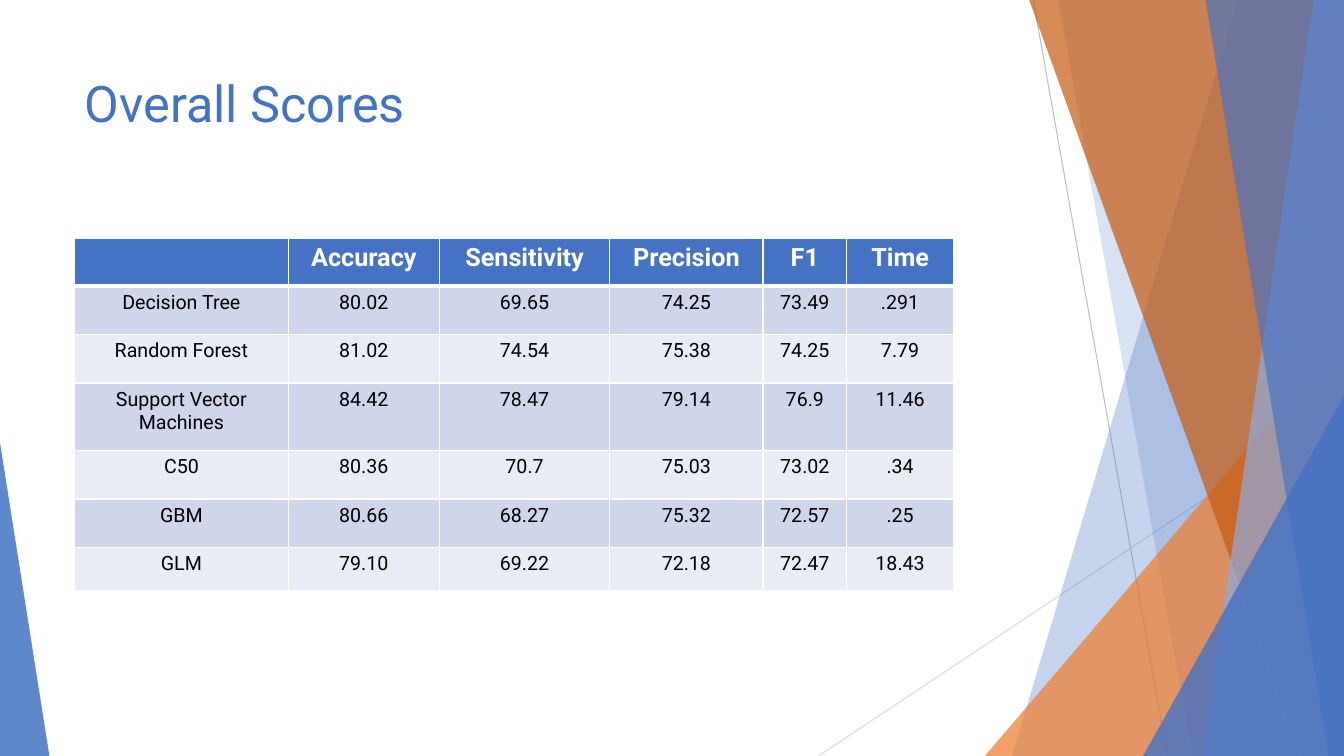
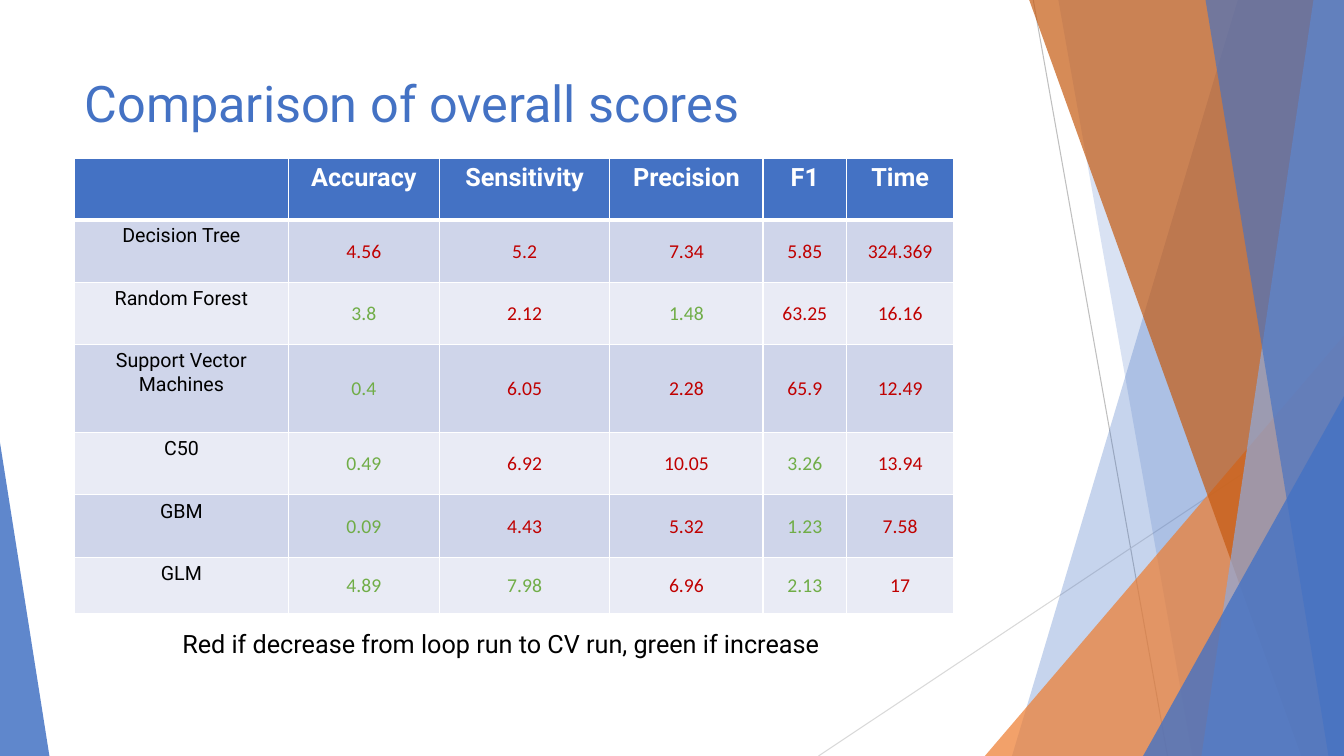
from lxml import etree
from pptx import Presentation, util as u
from pptx.dml.color import RGBColor
from pptx.enum import shapes, text
from pptx.oxml.ns import qn

W, H = u.Inches(13.333), u.Inches(7.5)
FONT, VALUE_FONT = "Roboto", "Calibri"
COLORS = {
    "blue": "4472C4", "light_blue": "8FAADC", "orange": "ED7D31", "rust": "C55A11",
    "gray": "BFBFBF", "light_gray": "D9D9D9", "band_dark": "CFD5EA", "band_light": "E9EBF5",
    "white": "FFFFFF", "black": "000000", "red": "C00000", "green": "70AD47",
}

# Backdrop, in percent of the slide's width and height
LINES = [(76.88, 0, 86.87, 100, "gray"), (100, 53.73, 60.9, 100, "light_gray")]
BACK_PANES = [(92.1, 75.3, "blue", 30), (78.75, 88.73, "blue", 20)]  # top x, bottom x
FRONT_PANES = [(76.58, 96.83, "rust", 70), (97.73, 89.4, "light_blue", 70),
               (89.7, 98.85, "blue", 65)]

# Table content
HEADERS = ["", "Accuracy", "Sensitivity", "Precision", "F1", "Time"]
MODELS = ["Decision Tree", "Random Forest", "Support Vector Machines", "C50", "GBM", "GLM"]
SCORES = [
    ["80.02", "69.65", "74.25", "73.49", ".291"],
    ["81.02", "74.54", "75.38", "74.25", "7.79"],
    ["84.42", "78.47", "79.14", "76.9", "11.46"],
    ["80.36", "70.7", "75.03", "73.02", ".34"],
    ["80.66", "68.27", "75.32", "72.57", ".25"],
    ["79.10", "69.22", "72.18", "72.47", "18.43"],
]
CHANGES = [
    ["4.56", "5.2", "7.34", "5.85", "324.369"],
    ["3.8", "2.12", "1.48", "63.25", "16.16"],
    ["0.4", "6.05", "2.28", "65.9", "12.49"],
    ["0.49", "6.92", "10.05", "3.26", "13.94"],
    ["0.09", "4.43", "5.32", "1.23", "7.58"],
    ["4.89", "7.98", "6.96", "2.13", "17"],
]
TRENDS = ["rrrrr", "grgrr", "grrrr", "grrgr", "grrgr", "ggrgr"]  # r = red, g = green
TREND_COLORS = {"r": "red", "g": "green"}

# Table grid, in percent of the slide
TABLE_LEFT = 5.55
COLUMNS = [15.9, 11.25, 12.68, 11.4, 6.23, 7.95]
SCORE_ROWS = [6.4, 6.4, 6.4, 8.93, 6.4, 6.4, 5.73]
CHANGE_ROWS = [8.13, 8.27, 8.27, 11.6, 8.27, 8.27, 7.47]


def px(share):
    return u.Emu(round(W * share / 100))


def py(share):
    return u.Emu(round(H * share / 100))


def rgb(name):
    return RGBColor.from_string(COLORS[name])


def set_font(p, size, color, name=FONT, bold=False):
    p.font.size, p.font.name, p.font.bold = u.Pt(size), name, bold
    p.font.color.rgb = rgb(color)


# Backdrop elements
def paint(sp, color, alpha):
    sp.shadow.inherit = False
    sp.fill.solid()
    sp.fill.fore_color.rgb = rgb(color)
    sp.line.fill.background()
    clr = sp.element.find(".//" + qn("a:srgbClr"))
    etree.SubElement(clr, qn("a:alpha"), val=str(alpha * 1000))


def add_line(s, x1, y1, x2, y2, color):
    c = s.shapes.add_connector(shapes.MSO_CONNECTOR.STRAIGHT, px(x1), py(y1), px(x2), py(y2))
    c.line.color.rgb, c.line.width = rgb(color), u.Pt(0.75)
    etree.SubElement(c.element.spPr, qn("a:effectLst"))


def add_pane(s, top_x, bottom_x, color, alpha):
    """Four-sided pane that reaches the right edge of the slide."""
    fb = s.shapes.build_freeform(px(top_x), 0)
    fb.add_line_segments([(W, 0), (W, H), (px(bottom_x), H)], close=True)
    paint(fb.convert_to_shape(), color, alpha)


def add_triangle(s, left, top, right, apex, color, alpha):
    """Right-angled triangle that stands on the bottom edge."""
    sp = s.shapes.add_shape(shapes.MSO_SHAPE.ISOSCELES_TRIANGLE, px(left), py(top),
                            px(right - left), py(100 - top))
    sp.adjustments[0] = apex
    paint(sp, color, alpha)


def draw_backdrop(s):
    for line in LINES:
        add_line(s, *line)
    for pane in BACK_PANES:
        add_pane(s, *pane)
    add_triangle(s, 73.28, 44.4, 100, 1, "orange", 72)
    for pane in FRONT_PANES:
        add_pane(s, *pane)
    add_triangle(s, 85.05, 52.4, 100, 1, "blue", 80)
    add_triangle(s, 0, 58.53, 3.68, 0, "blue", 85)


def style_layout(layout, s):
    """Place the title and move a backdrop drawn on slide s behind it."""
    for ph in list(layout.placeholders):
        if ph.placeholder_format.idx:
            ph.element.getparent().remove(ph.element)
    title = layout.placeholders[0]
    title.left, title.top, title.width, title.height = px(5.55), py(8.93), px(70.5), py(19.2)
    title.text_frame.vertical_anchor = text.MSO_ANCHOR.TOP
    draw_backdrop(s)
    for sp in list(s.shapes):
        if not sp.is_placeholder:
            title.element.addprevious(sp.element)


# Slide elements
def set_title(s, words):
    tf = s.shapes.title.text_frame
    tf.text = words
    p = tf.paragraphs[0]
    p.alignment = text.PP_ALIGN.LEFT
    set_font(p, 36, "blue")


def set_borders(cell, top, bottom):
    tc_pr = cell._tc.get_or_add_tcPr()
    for side, width in (("L", 1), ("R", 1), ("T", top), ("B", bottom)):
        ln = etree.SubElement(tc_pr, qn("a:ln" + side), w=str(u.Pt(width)))
        fill = etree.SubElement(ln, qn("a:solidFill"))
        etree.SubElement(fill, qn("a:srgbClr"), val=COLORS["white"])


def fill_cell(cell, words, row):
    set_borders(cell, 3 if row == 1 else 1, 3 if row == 0 else 1)
    cell.fill.solid()
    band = "band_dark" if row % 2 else "band_light"
    cell.fill.fore_color.rgb = rgb(band if row else "blue")
    cell.text = words
    p = cell.text_frame.paragraphs[0]
    p.alignment = text.PP_ALIGN.CENTER
    if row:
        set_font(p, 14, "black")
    else:
        set_font(p, 18, "white", bold=True)


def mark_trend(cell, trend):
    cell.vertical_anchor = text.MSO_ANCHOR.MIDDLE
    cell.margin_left = cell.margin_right = cell.margin_top = u.Inches(0.01)
    cell.margin_bottom = 0
    set_font(cell.text_frame.paragraphs[0], 14, TREND_COLORS[trend], VALUE_FONT)


def add_score_table(s, top, heights, values, trends=None):
    rows = [HEADERS] + [[model] + row for model, row in zip(MODELS, values)]
    table = s.shapes.add_table(len(rows), len(COLUMNS), px(TABLE_LEFT), py(top),
                               px(sum(COLUMNS)), py(sum(heights))).table
    for column, width in zip(table.columns, COLUMNS):
        column.width = px(width)
    for i, (row, height) in enumerate(zip(rows, heights)):
        table.rows[i].height = py(height)
        for j, words in enumerate(row):
            cell = table.cell(i, j)
            fill_cell(cell, words, i)
            if trends and i and j:
                mark_trend(cell, trends[i - 1][j - 1])


def add_note(s, words):
    tf = s.shapes.add_textbox(px(12.83), py(82.4), px(64.65), py(5.33)).text_frame
    tf.word_wrap = True
    tf.text = words
    set_font(tf.paragraphs[0], 18, "black")


def main():
    prs = Presentation()
    prs.slide_width, prs.slide_height = W, H
    layout = prs.slide_layouts.get_by_name("Title Only")

    # Overall scores
    s = prs.slides.add_slide(layout)
    style_layout(layout, s)
    set_title(s, "Overall Scores")
    add_score_table(s, 31.47, SCORE_ROWS, SCORES)

    # Comparison
    s = prs.slides.add_slide(layout)
    set_title(s, "Comparison of overall scores")
    add_score_table(s, 20.93, CHANGE_ROWS, CHANGES, TRENDS)
    add_note(s, "Red if decrease from loop run to CV run, green if increase")

    prs.save("out.pptx")


if __name__ == "__main__":
    main()
